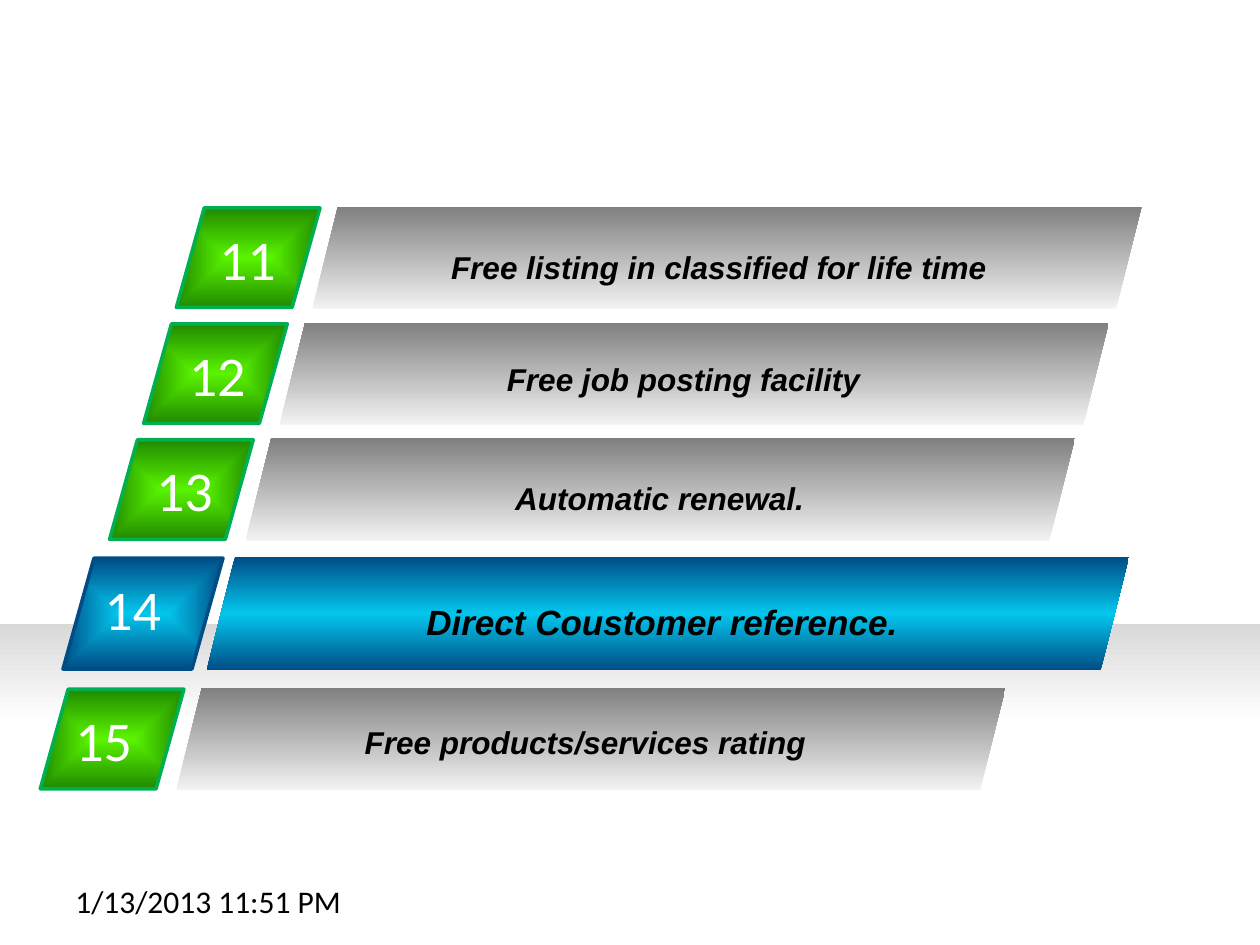
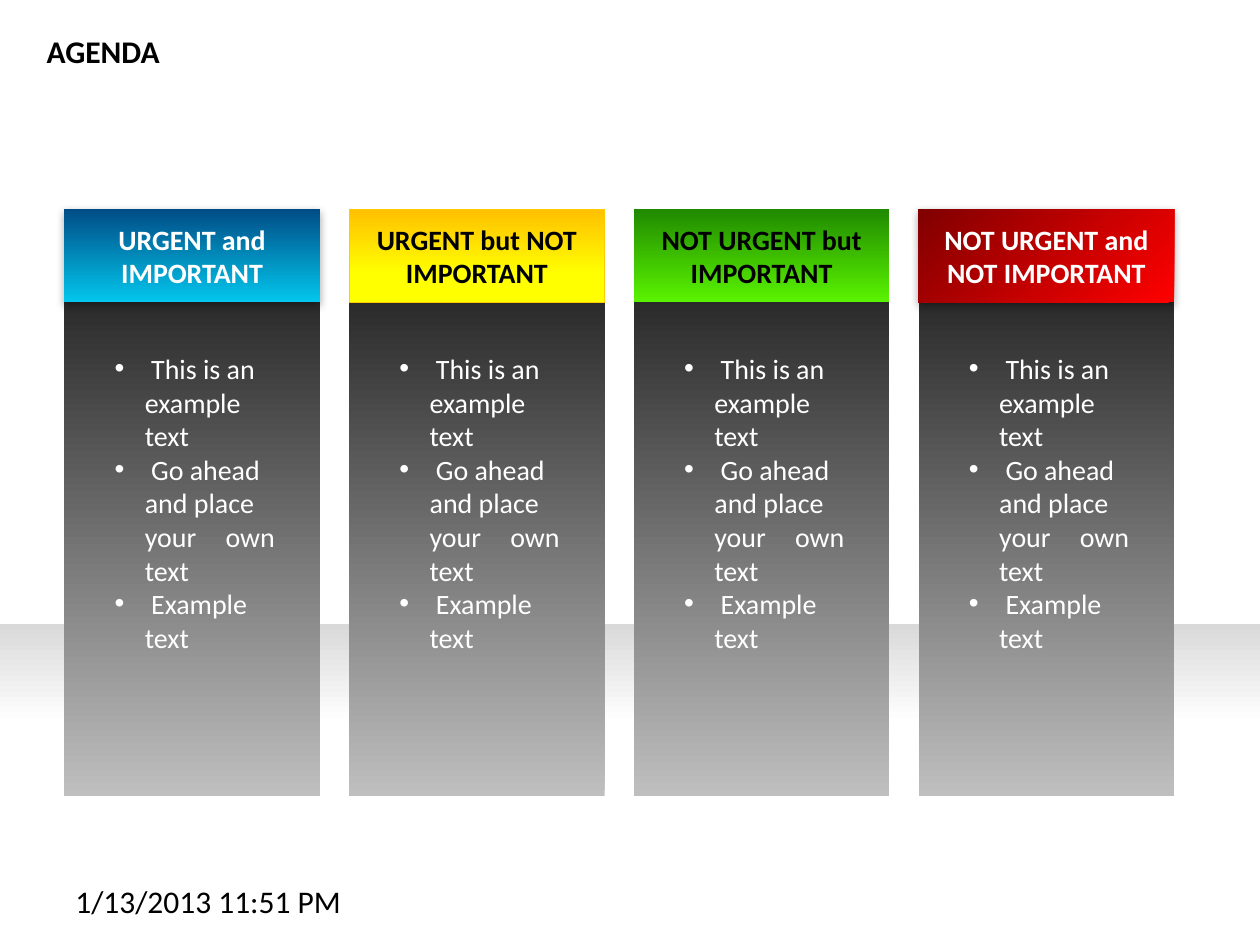
"""Build a numbered benefits slide and a four-column agenda slide."""
from lxml.etree import SubElement
from pptx import Presentation
from pptx.dml.color import RGBColor
from pptx.enum.shapes import MSO_SHAPE
from pptx.enum.text import MSO_ANCHOR, MSO_AUTO_SIZE, PP_ALIGN
from pptx.oxml import parse_xml
from pptx.oxml.ns import nsdecls, qn
from pptx.util import Pt

PX = 9144
BLACK, WHITE = "000000", "FFFFFF"
BLUE, DEEP_BLUE = "03C6ED", "004D86"
GREEN, DEEP_GREEN = "5AF300", "208A00"
SILVER_BAR = [(0, "F2F2F2"), (100, "808080")]
BLUE_BAR = [(0, DEEP_BLUE), (50, BLUE), (100, DEEP_BLUE)]
COLUMN_FILL = [(0, "BFBFBF"), (100, "262626")]


def add_gradient_shape(slide, preset, box, stops, angle=None, line=None, width=0):
    """Add a shape with a linear gradient, or one from its centre when angle is None."""
    shape = slide.shapes.add_shape(preset, *[value * PX for value in box])
    shape.shadow.inherit = False
    shape.fill.gradient()
    gradient = shape.element.spPr.find(qn("a:gradFill"))
    for child in list(gradient):
        gradient.remove(child)
    stop_list = SubElement(gradient, qn("a:gsLst"))
    for position, color in stops:
        stop = SubElement(stop_list, qn("a:gs"), pos=str(position * 1000))
        SubElement(stop, qn("a:srgbClr"), val=color)
    if angle is None:
        center = SubElement(gradient, qn("a:path"), path="shape")
        SubElement(center, qn("a:fillToRect"), l="50000", t="50000", r="50000", b="50000")
    else:
        SubElement(gradient, qn("a:lin"), ang=str(angle * 60000), scaled="0")
    if line:
        shape.line.color.rgb = RGBColor.from_string(line)
        shape.line.width = Pt(width)
    else:
        shape.line.fill.background()
    return shape


def write(shape, text, size, color, align=PP_ALIGN.LEFT, bold=False, italic=False,
          font="Calibri", anchor=MSO_ANCHOR.TOP):
    """Fill a shape with text and format every run."""
    frame = shape.text_frame
    frame.text = text
    frame.word_wrap = True
    frame.auto_size = MSO_AUTO_SIZE.NONE
    frame.vertical_anchor = anchor
    for paragraph in frame.paragraphs:
        paragraph.alignment = align
        paragraph.space_before = Pt(0)
        for run in paragraph.runs:
            run.font.name = font
            run.font.size = Pt(size)
            run.font.bold = bold
            run.font.italic = italic
            run.font.color.rgb = RGBColor.from_string(color)


presentation = Presentation()
presentation.slide_width = 1000 * PX
presentation.slide_height = 750 * PX
benefits = presentation.slides.add_slide(presentation.slide_layouts[6])
agenda = presentation.slides.add_slide(presentation.slide_layouts[4])

for slide in (benefits, agenda):
    add_gradient_shape(slide, MSO_SHAPE.RECTANGLE, (0, 495, 1000, 202),
                       [(0, "D9D9D9"), (39, WHITE), (100, WHITE)], 90)
    date = slide.shapes.add_textbox(50 * PX, 695 * PX, 233 * PX, 40 * PX)
    write(date, "1/13/2013 11:51 PM", 18, BLACK)

rows = [
    ("11", "Free listing in classified for life time", 140, 165, 164, (275, 192)),
    ("12", "Free job posting facility", 114, 257, 140, (247, 281)),
    ("13", "Automatic renewal.", 87, 349, 114, (228, 375)),
    ("14", "Direct Coustomer reference.", 50, 443, 73, (197, 472)),
    ("15", "Free products/services rating", 32, 547, 50, (169, 569)),
]
for number, benefit, left, top, number_left, (label_left, label_top) in rows:
    if number == "14":
        badge_size, bar_size, bar_offset = (127, 88), (732, 90), 114
        badge_fill, badge_line = [(0, BLUE), (100, DEEP_BLUE)], DEEP_BLUE
        bar_fill, label_width, label_size = BLUE_BAR, 657, 20
    else:
        badge_size, bar_size, bar_offset = (114, 79), (658, 81), 108
        badge_fill, badge_line = [(0, GREEN), (100, DEEP_GREEN)], "00B050"
        bar_fill, label_width, label_size = SILVER_BAR, 591, 18
    badge = add_gradient_shape(benefits, MSO_SHAPE.PARALLELOGRAM, (left, top, *badge_size),
                               badge_fill, line=badge_line, width=2)
    badge.adjustments[0] = 0.28
    add_gradient_shape(benefits, MSO_SHAPE.PARALLELOGRAM,
                       (left + bar_offset, top - 1, *bar_size), bar_fill, 270)
    number_box = benefits.shapes.add_textbox(number_left * PX, (top + 8) * PX, 85 * PX, 64 * PX)
    write(number_box, number, 32, WHITE)
    label = benefits.shapes.add_textbox(label_left * PX, label_top * PX,
                                        label_width * PX, 40 * PX)
    write(label, benefit, label_size, BLACK, PP_ALIGN.CENTER, True, True, "Arial")

title, *lists = agenda.placeholders
title.left, title.top, title.width, title.height = 27 * PX, 20 * PX, 124 * PX, 40 * PX
write(title, "AGENDA", 18, BLACK, bold=True)

columns = [
    ("URGENT and IMPORTANT", WHITE, [(0, BLUE), (100, DEEP_BLUE)], 270, None),
    ("URGENT but NOT IMPORTANT", BLACK, [(0, "FFC000"), (70, "FFFF00"), (100, "FFFF00")],
     90, "FFCC00"),
    ("NOT URGENT but IMPORTANT", BLACK, [(0, DEEP_GREEN), (100, GREEN)], 90, None),
    ("NOT URGENT and NOT IMPORTANT", WHITE, [(0, "FF0000"), (100, "800000")], 225, None),
]
items = " This is an example text\n Go ahead and place your\town text\n Example text"
for index, (heading, color, stops, angle, line) in enumerate(columns):
    left = 51 + 226 * index
    add_gradient_shape(agenda, MSO_SHAPE.RECTANGLE, (left, 226, 203, 406), COLUMN_FILL, 270)
    header = add_gradient_shape(agenda, MSO_SHAPE.RECTANGLE, (left, 166, 203, 74),
                                stops, angle, line, 0.25)
    write(header, heading, 16, color, PP_ALIGN.CENTER, True, anchor=MSO_ANCHOR.MIDDLE)
    if color == WHITE:
        header.element.spPr.find(qn("a:effectLst")).append(parse_xml(
            f'<a:outerShdw {nsdecls("a")} blurRad="63500" dist="22860" dir="5400000">'
            '<a:srgbClr val="000000"><a:alpha val="35000"/></a:srgbClr></a:outerShdw>'))
    body = lists[index]
    body.left, body.top, body.width, body.height = (left + 30) * PX, 274 * PX, 151 * PX, 199 * PX
    write(body, items, 16, WHITE)
    for paragraph in body.text_frame.paragraphs:
        properties = paragraph._p.get_or_add_pPr()
        properties.set("marL", str(24 * PX))
        properties.set("indent", str(-24 * PX))
        SubElement(properties, qn("a:buFont"), typeface="Arial")
        SubElement(properties, qn("a:buChar"), char="•")
        tabs = SubElement(properties, qn("a:tabLst"))
        SubElement(tabs, qn("a:tab"), pos=str(88 * PX), algn="l")
    body.element.getparent().append(body.element)

presentation.save("out.pptx")
